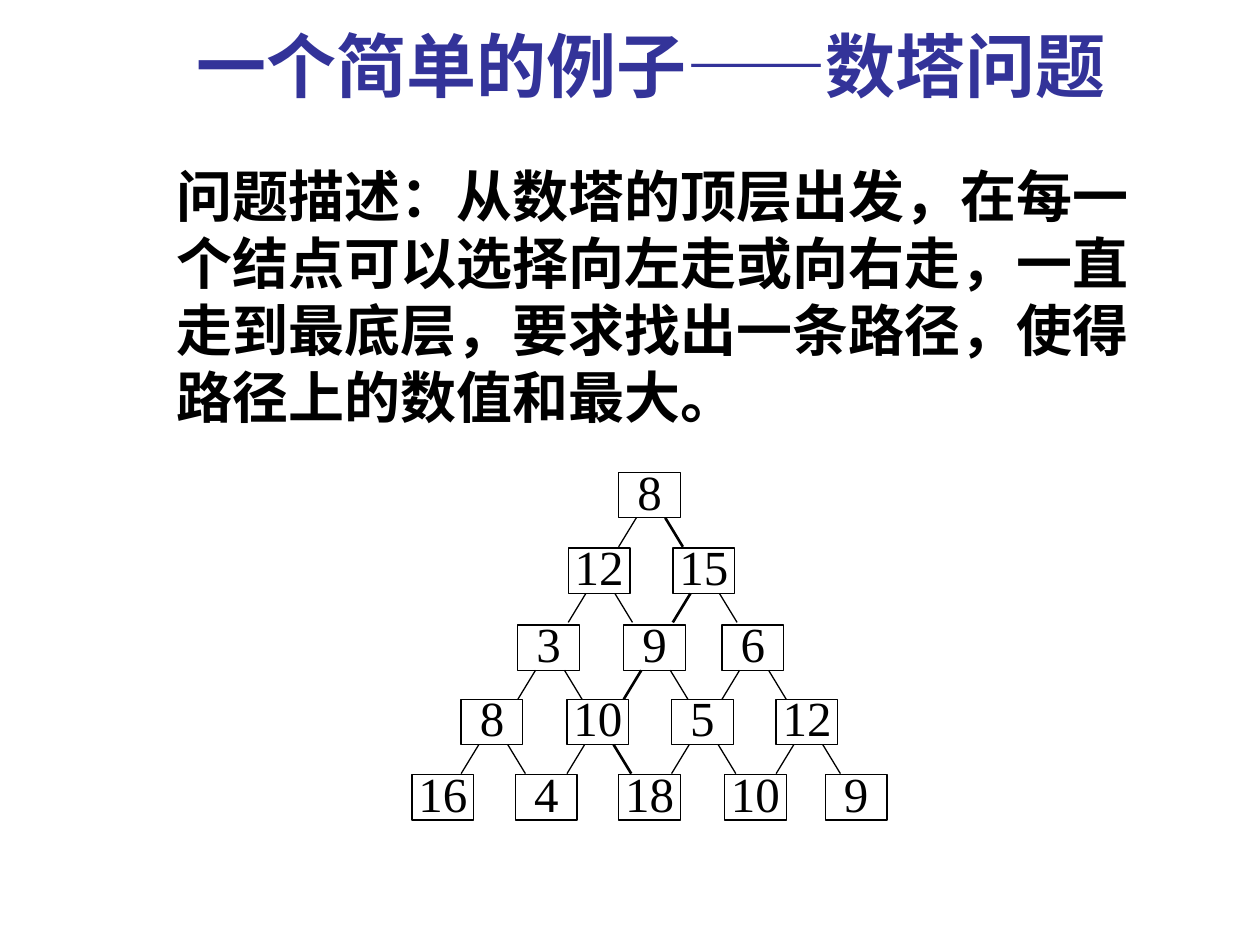
import pptx
import pptx.util
import pptx.dml.color
import pptx.enum.shapes
import pptx.enum.text
import pptx.oxml
from pptx.util import Inches

HUES = {"title": "333399", "ink": "000000", "paper": "FFFFFF"}
HAN = "Noto Sans CJK SC"

# Each row: top edge, then (left edge, value) of every node
ROWS = [
    (3.75, [(4.91, 8)]),
    (4.35, [(4.51, 12), (5.34, 15)]),
    (4.96, [(4.11, 3), (4.95, 9), (5.73, 6)]),
    (5.55, [(3.66, 8), (4.5, 10), (5.33, 5), (6.16, 12)]),
    (6.15, [(3.27, 16), (4.09, 4), (4.91, 18), (5.75, 10), (6.55, 9)]),
]
BEST = [0, 1, 1, 1, 2]  # node index on the best path, row by row
WIDE, HIGH = 0.49, 0.36


def color(key):
    return pptx.dml.color.RGBColor.from_string(HUES[key])


def style(para, face, size, hue, bold=False):
    font = para.font
    font.name, font.size, font.bold = face, pptx.util.Pt(size), bold
    font.color.rgb = color(hue)


def write(shape, box, text, face, size, hue):
    """Place a bold left-aligned text in the given box."""
    shape.left, shape.top, shape.width, shape.height = map(Inches, box)
    frame = shape.text_frame
    frame.word_wrap = True
    frame.auto_size = pptx.enum.text.MSO_AUTO_SIZE.NONE
    frame.vertical_anchor = pptx.enum.text.MSO_ANCHOR.TOP
    para = frame.paragraphs[0]
    para.text = text
    para.alignment = pptx.enum.text.PP_ALIGN.LEFT
    para.line_spacing = pptx.util.Pt(size * 1.2)
    style(para, face, size, hue, True)
    # East Asian face for the Chinese characters
    for run in para.runs:
        props = run.font._element
        pptx.oxml.xmlchemy.OxmlElement
        ea = pptx.oxml.parse_xml(
            '<a:ea xmlns:a="http://schemas.openxmlformats.org/drawingml/2006/main"'
            f' typeface="{HAN}"/>')
        props.append(ea)


def node(group, left, top, value):
    box = group.shapes.add_shape(
        pptx.enum.shapes.MSO_SHAPE.RECTANGLE,
        Inches(left), Inches(top), Inches(WIDE), Inches(HIGH))
    box.shadow.inherit = False
    box.fill.solid()
    box.fill.fore_color.rgb = color("paper")
    box.line.color.rgb = color("ink")
    box.line.width = pptx.util.Pt(0.75)
    frame = box.text_frame
    frame.margin_left = frame.margin_right = 0
    frame.margin_top = frame.margin_bottom = 0
    frame.vertical_anchor = pptx.enum.text.MSO_ANCHOR.TOP
    para = frame.paragraphs[0]
    para.text = str(value)
    para.alignment = pptx.enum.text.PP_ALIGN.CENTER
    para.line_spacing = 0.8
    style(para, "Times New Roman", 28, "ink")


def branch(group, left, top, side, width):
    """Draw the branch below a node: side 0 is left, 1 is right."""
    start = left + (0.14, 0.37)[side]
    end = start + (-0.14, 0.14)[side]
    line = group.shapes.add_connector(
        pptx.enum.shapes.MSO_CONNECTOR.STRAIGHT,
        Inches(start), Inches(top + HIGH), Inches(end), Inches(top + HIGH + 0.23))
    line.line.color.rgb = color("ink")
    line.line.width = pptx.util.Pt(width)
    line._element.spPr.append(pptx.oxml.parse_xml(
        '<a:effectLst xmlns:a="http://schemas.openxmlformats.org/drawingml/2006/main"/>'))


def tower(slide, rows, best):
    group = slide.shapes.add_group_shape()
    for top, nodes in rows:
        for left, value in nodes:
            node(group, left, top, value)
    # Branches, heavier along the best path
    for depth, (top, nodes) in enumerate(rows[:-1]):
        for spot, (left, _) in enumerate(nodes):
            for side in (0, 1):
                chosen = best[depth] == spot and best[depth + 1] == spot + side
                branch(group, left, top, side, 1.5 if chosen else 0.75)


def main():
    deck = pptx.Presentation()
    deck.slide_width, deck.slide_height = Inches(10), Inches(7.5)
    slide = deck.slides.add_slide(deck.slide_layouts[5])

    # Title and problem statement
    write(slide.shapes.title, (1.46, 0.13, 7.95, 0.77),
          "一个简单的例子——数塔问题", HAN, 40, "title")
    body = slide.shapes.add_textbox(0, 0, 0, 0)
    write(body, (1.3, 1.23, 8.11, 2.24),
          "问题描述：从数塔的顶层出发，在每一个结点可以选择向左走或向右走，"
          "一直走到最底层，要求找出一条路径，使得路径上的数值和最大。",
          "Arial", 32, "ink")

    # Number tower
    tower(slide, ROWS, BEST)
    deck.save("out.pptx")


if __name__ == "__main__":
    main()
